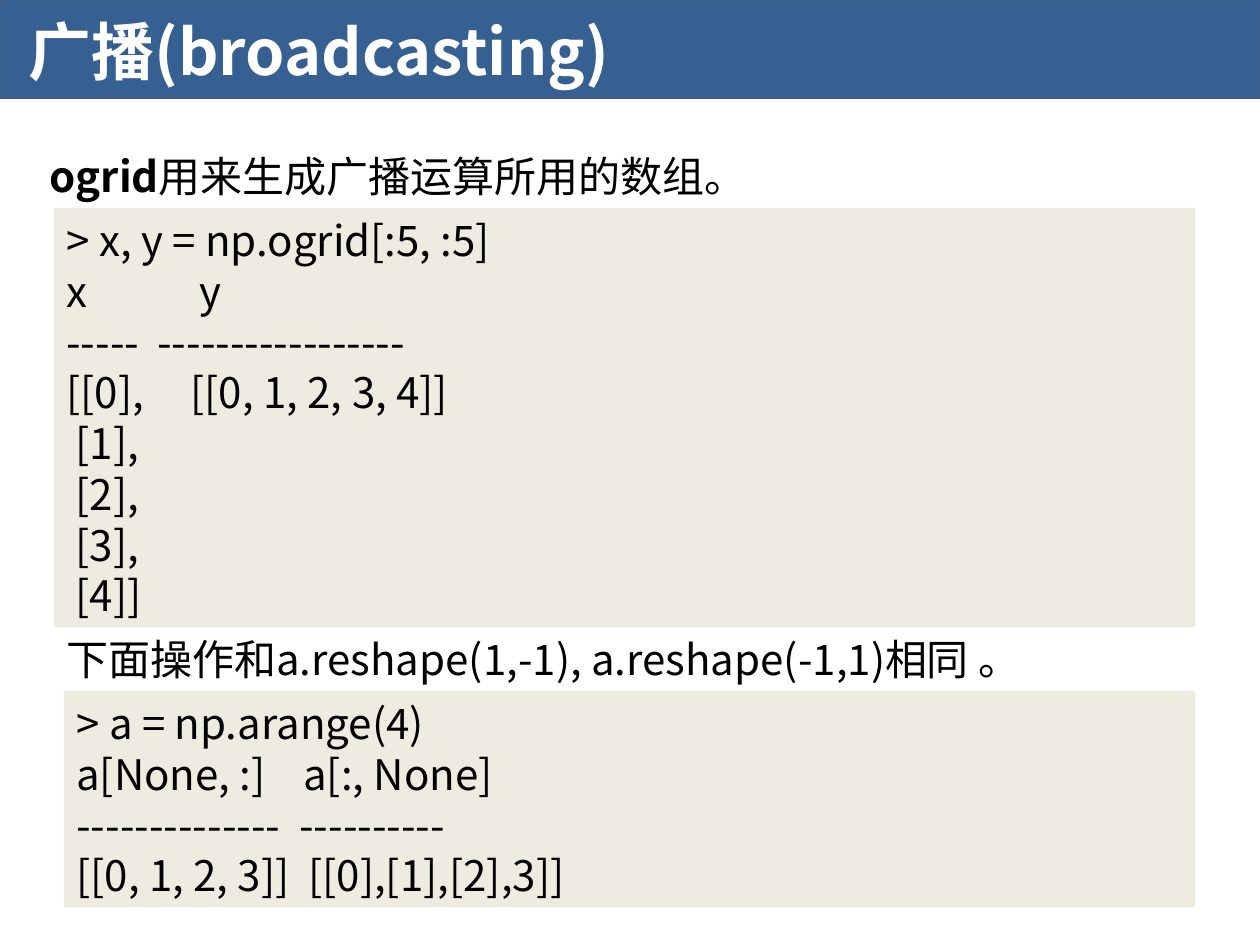
"""Build the slide on NumPy broadcasting with ogrid and None indexing."""
from lxml.etree import SubElement
from pptx import Presentation
from pptx.dml.color import RGBColor
from pptx.enum.shapes import MSO_SHAPE
from pptx.enum.text import MSO_ANCHOR, PP_ALIGN
from pptx.oxml.ns import qn
from pptx.util import Pt

EMU_PER_PX = 914400 / 126
FONT = "Noto Sans CJK SC"
COLORS = {
    "band": "376092",
    "band_line": "3A5F8C",
    "code": "EEECE1",
    "text": "000000",
    "title": "FFFFFF",
}


def px(length):
    return round(length * EMU_PER_PX)


def color(name):
    return RGBColor.from_string(COLORS[name])


def add_text(paragraph, text, size=24, bold=False, color_name="text", leading=29):
    paragraph.alignment = PP_ALIGN.LEFT
    paragraph.line_spacing = Pt(leading)
    run = paragraph.add_run()
    run.text = text
    run.font.size = Pt(size)
    run.font.bold = bold
    run.font.name = FONT
    run.font.color.rgb = color(color_name)
    SubElement(run.font._element, qn("a:ea"), typeface=FONT)


def add_tab_stop(paragraph, position):
    properties = paragraph._p.get_or_add_pPr()
    stops = SubElement(properties, qn("a:tabLst"))
    SubElement(stops, qn("a:tab"), pos=str(px(position)), algn="l")


class SlideBuilder:
    def __init__(self, presentation):
        layout = presentation.slide_layouts[5]
        self.slide = presentation.slides.add_slide(layout)
        self.shapes = self.slide.shapes

    def rectangle(self, left, top, width, height, fill, line=None):
        shape = self.shapes.add_shape(
            MSO_SHAPE.RECTANGLE, px(left), px(top), px(width), px(height))
        shape.shadow.inherit = False
        shape.fill.solid()
        shape.fill.fore_color.rgb = color(fill)
        if line:
            shape.line.color.rgb = color(line)
            shape.line.width = Pt(2)
        else:
            shape.line.fill.background()
        return shape

    def title(self, text, left, top, width, height):
        title = self.shapes.title
        title.left, title.top = px(left), px(top)
        title.width, title.height = px(width), px(height)
        title.text_frame.vertical_anchor = MSO_ANCHOR.TOP
        add_text(title.text_frame.paragraphs[0], text, size=36, bold=True,
                 color_name="title", leading=44)
        self.shapes._spTree.append(title._element)

    def sentence(self, parts, left, top, width, height):
        box = self.shapes.add_textbox(px(left), px(top), px(width), px(height))
        box.text_frame.word_wrap = True
        for text, bold in parts:
            add_text(box.text_frame.paragraphs[0], text, bold=bold)

    def code(self, lines, left, top, width, height):
        frame = self.rectangle(left, top, width, height, "code").text_frame
        frame.word_wrap = True
        frame.vertical_anchor = MSO_ANCHOR.TOP
        for index, (text, tab_stop) in enumerate(lines):
            paragraph = frame.add_paragraph() if index else frame.paragraphs[0]
            add_text(paragraph, text)
            if tab_stop:
                add_tab_stop(paragraph, tab_stop)


def main():
    presentation = Presentation()
    presentation.slide_width, presentation.slide_height = px(1260), px(945)
    builder = SlideBuilder(presentation)

    builder.rectangle(0, 0, 1260, 97, "band", line="band_line")
    builder.title("广播(broadcasting)", 16, 5, 852, 89)

    builder.sentence(
        [("ogrid", True), ("用来生成广播运算所用的数组。", False)],
        37, 144, 1159, 63)
    builder.code([
        ("> x, y = np.ogrid[:5, :5]", None),
        ("x\ty", 133),
        ("-----\t-----------------", 91),
        ("[[0],\t[[0, 1, 2, 3, 4]]", 124),
        (" [1],", None),
        (" [2],", None),
        (" [3],", None),
        (" [4]]", None),
    ], 54, 208, 1141, 419)

    builder.sentence(
        [("下面操作和a.reshape(1,-1), a.reshape(-1,1)相同 。", False)],
        54, 627, 1159, 63)
    builder.code([
        ("> a = np.arange(4)", None),
        ("a[None, :]\ta[:, None]", 227),
        ("--------------\t----------", 223),
        ("[[0, 1, 2, 3]]\t[[0],[1],[2],3]]", 232),
    ], 64, 691, 1131, 216)

    presentation.save("out.pptx")


if __name__ == "__main__":
    main()
